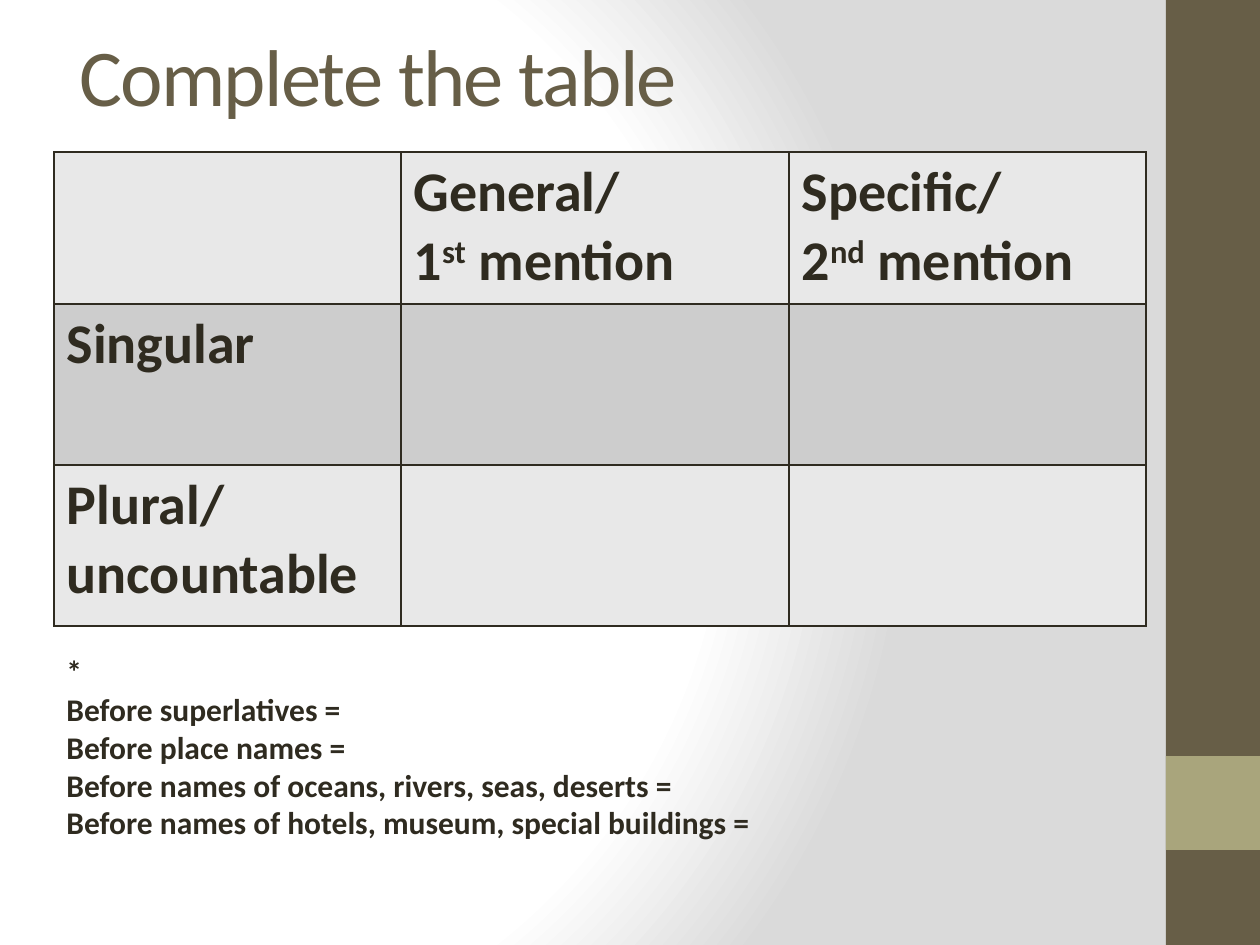
"""Build a grammar slide with a table to complete and a list of rules."""
import pptx
import pptx.dml.color
import pptx.enum.shapes
import pptx.enum.text
import pptx.oxml
import pptx.oxml.ns
import pptx.util
from lxml import etree

PX = 914400 / 126
FONT = "Calibri"
BROWN, OLIVE, INK = "675E47", "A9A57C", "2F2B20"
LIGHT, DARK = "E8E8E8", "CDCDCD"
COLUMNS = [347, 388, 357]
ROWS = [152, 161, 161]
CELLS = [
    [[], [["General/"], ["1", "^st", " mention"]], [["Specific/"], ["2", "^nd", " mention"]]],
    [[["Singular"]], [], []],
    [[["Plural/"], ["uncountable"]], [], []],
]
RULES = [
    "*",
    "Before superlatives =",
    "Before place names =",
    "Before names of oceans, rivers, seas, deserts =",
    "Before names of hotels, museum, special buildings =",
]


def emu(*pixels):
    """Turn px lengths into EMU."""
    return [pptx.util.Emu(round(pixel * PX)) for pixel in pixels]


def color(value):
    """Turn a hex string into a colour."""
    return pptx.dml.color.RGBColor.from_string(value)


def set_font(paragraph, size, value, bold=False):
    """Format all the text of a paragraph."""
    font = paragraph.font
    font.name, font.size, font.bold = FONT, pptx.util.Pt(size), bold
    font.color.rgb = color(value)


def add_background(slide):
    """Fill the background with a circular gradient."""
    stops = [(0, "FFFFFF"), (75, "FFFFFF"), (100, "DADADA")]
    stop_xml = "".join(
        f'<a:gs pos="{position * 1000}"><a:srgbClr val="{value}"/></a:gs>'
        for position, value in stops
    )
    background = pptx.oxml.parse_xml(
        f'<p:bg {pptx.oxml.ns.nsdecls("p", "a")}><p:bgPr><a:gradFill rotWithShape="1">'
        f'<a:gsLst>{stop_xml}</a:gsLst><a:path path="circle">'
        '<a:fillToRect l="20000" t="50000" r="100000" b="50000"/></a:path>'
        "</a:gradFill><a:effectLst/></p:bgPr></p:bg>"
    )
    slide.element.cSld.insert(0, background)


def add_sidebar(slide, left, top, width, height):
    """Draw the brown side bar with its olive block."""
    blocks = [(0, height, BROWN), (height * 4 // 5, width, OLIVE)]
    for offset, block_height, value in blocks:
        shape = slide.shapes.add_shape(
            pptx.enum.shapes.MSO_SHAPE.RECTANGLE, *emu(left, top + offset, width, block_height)
        )
        shape.shadow.inherit = False
        shape.fill.solid()
        shape.fill.fore_color.rgb = color(value)
        shape.line.fill.background()


def add_title(slide, left, top, width, height):
    """Place and format the title."""
    title = slide.shapes.title
    title.left, title.top, title.width, title.height = emu(left, top, width, height)
    title.text_frame.vertical_anchor = pptx.enum.text.MSO_ANCHOR.MIDDLE
    paragraph = title.text_frame.paragraphs[0]
    paragraph.alignment = pptx.enum.text.PP_ALIGN.LEFT
    set_font(paragraph, 46, BROWN)
    run = paragraph.add_run()
    run.text = "Complete the table"
    run.font._element.set("spc", "-100")


def add_borders(cell):
    """Draw a thin line on each side of a cell."""
    properties = cell._tc.get_or_add_tcPr()
    for index, side in enumerate(("lnL", "lnR", "lnT", "lnB")):
        line = pptx.oxml.parse_xml(
            f'<a:{side} {pptx.oxml.ns.nsdecls("a")} w="12700"><a:solidFill>'
            f'<a:srgbClr val="{INK}"/></a:solidFill></a:{side}>'
        )
        properties.insert(index, line)


def fill_cell(cell, lines, value):
    """Write the lines of a cell, raising the parts marked with a caret."""
    cell.fill.solid()
    cell.fill.fore_color.rgb = color(value)
    add_borders(cell)
    for index, parts in enumerate(lines):
        frame = cell.text_frame
        paragraph = frame.add_paragraph() if index else frame.paragraphs[0]
        set_font(paragraph, 32, INK, bold=True)
        for part in parts:
            run = paragraph.add_run()
            run.text = part.lstrip("^")
            if part.startswith("^"):
                run.font._element.set("baseline", "30000")


def add_grid(slide, left, top):
    """Add the table to complete."""
    table = slide.shapes.add_table(
        len(ROWS), len(COLUMNS), *emu(left, top, sum(COLUMNS), sum(ROWS))
    ).table
    table.first_row = table.horz_banding = False
    for column, width in zip(table.columns, emu(*COLUMNS)):
        column.width = width
    for row, height in zip(table.rows, emu(*ROWS)):
        row.height = height
    for row_index, row_cells in enumerate(CELLS):
        for column_index, lines in enumerate(row_cells):
            value = DARK if row_index % 2 else LIGHT
            fill_cell(table.cell(row_index, column_index), lines, value)


def add_rules(slide, left, top, width, height):
    """List the rules under the table."""
    frame = slide.shapes.add_textbox(*emu(left, top, width, height)).text_frame
    frame.word_wrap = True
    for index, rule in enumerate(RULES):
        paragraph = frame.add_paragraph() if index else frame.paragraphs[0]
        paragraph.text = rule
        set_font(paragraph, 18, INK, bold=True)


def main():
    """Build and save the presentation."""
    presentation = pptx.Presentation()
    presentation.slide_width, presentation.slide_height = emu(1260, 945)
    slide = presentation.slides.add_slide(presentation.slide_layouts[5])
    add_background(slide)
    add_sidebar(slide, 1166, 0, 94, 945)
    add_title(slide, 67, -5, 1050, 158)
    add_grid(slide, 54, 152)
    add_rules(slide, 54, 646, 1050, 242)
    presentation.save("out.pptx")


if __name__ == "__main__":
    main()
